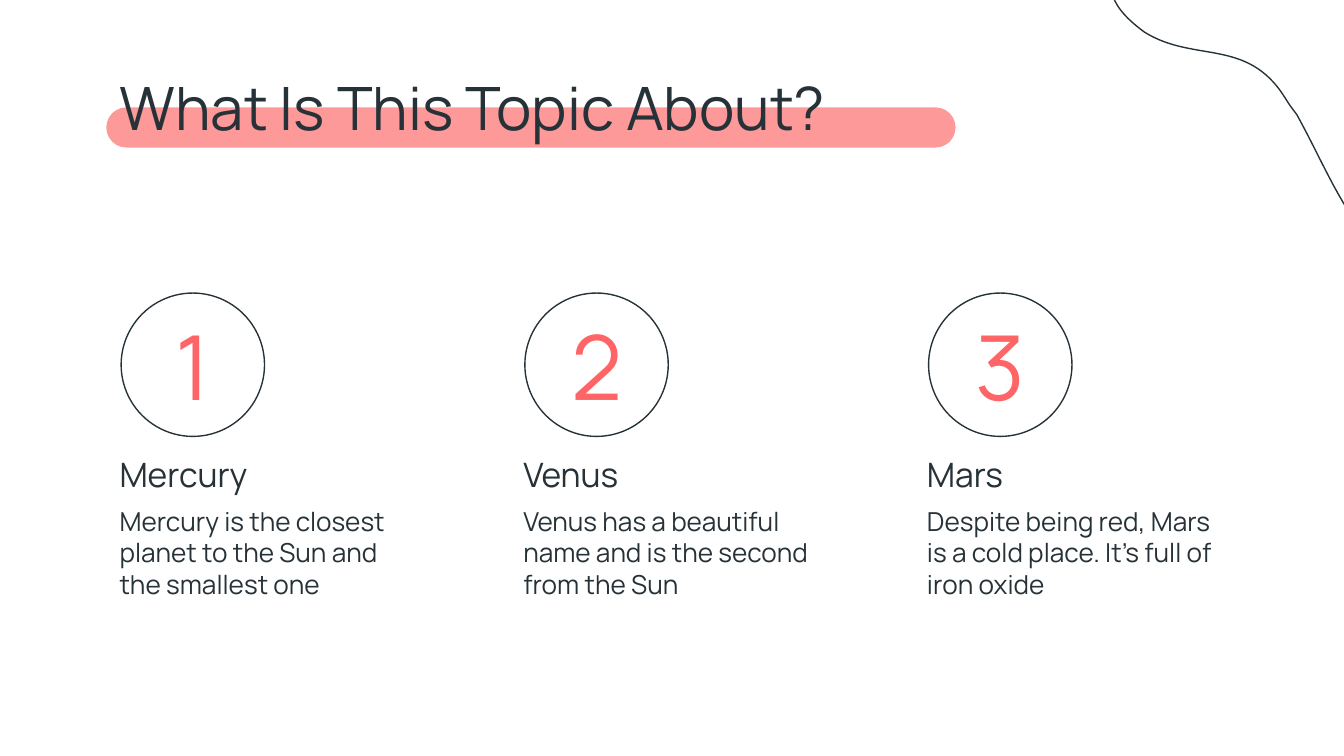
import math
from collections import namedtuple

from lxml import etree
from pptx import Presentation
from pptx import util as u
from pptx.dml.color import RGBColor
from pptx.enum import shapes, text
from pptx.oxml import ns

COLORS = {"ink": "263238", "coral": "FF6566", "band": "FE9999"}
FONT = "Manrope"
Box = namedtuple("Box", "left top width height")

PLANETS = [
    ("Mercury", "Mercury is the closest planet to the Sun and the smallest one"),
    ("Venus", "Venus has a beautiful name and is the second from the Sun"),
    ("Mars", "Despite being red, Mars is a cold place. It’s full of iron oxide"),
]

BLOB_TURN = 239.9
BLOB_START = (-5.26, -0.85)
BLOB_CURVES = [
    ((-5.16, -0.68), (-4.98, -0.5), (-4.73, -0.32)),
    ((-3.79, 0.26), (-2.8, -0.22), (-2.09, 0.9)),
    ((-2.01, 1.03), (-1.94, 1.13), (-1.86, 1.23)),
    ((-1.55, 1.79), (-1.3, 2.35), (-1.02, 2.83)),
    ((-0.67, 3.44), (-0.26, 3.97), (0.48, 4.43)),
    ((1.72, 5.17), (2.71, 4.89), (3.63, 4.07)),
    ((5.2, 2.68), (5.13, 0.67), (4.11, -1.11)),
    ((3.68, -1.84), (3.07, -2.56), (2.33, -3.17)),
    ((0.02, -5.02), (-2.77, -4.92), (-4.58, -3.14)),
    ((-5.14, -2.58), (-5.72, -1.64), BLOB_START),
]


def color(name):
    return RGBColor.from_string(COLORS[name])


def lengths(box):
    return [u.Cm(value) for value in box]


def outline(shape):
    shape.shadow.inherit = False
    shape.fill.background()
    shape.line.color.rgb = color("ink")
    shape.line.width = u.Pt(0.75)


def write(shape, words, size, ink="ink", align=text.PP_ALIGN.LEFT,
          anchor=text.MSO_ANCHOR.TOP):
    frame = shape.text_frame
    frame.text = words
    frame.word_wrap = True
    frame.auto_size = text.MSO_AUTO_SIZE.NONE
    frame.vertical_anchor = anchor
    frame.margin_left = frame.margin_right = u.Cm(0.25)
    frame.margin_top = frame.margin_bottom = u.Cm(0.25)
    para = frame.paragraphs[0]
    para.alignment = align
    para.line_spacing = 1.0
    para.space_before = u.Pt(0)
    span = para.runs[0]
    span.font.name = FONT
    span.font.size = u.Pt(size)
    span.font.color.rgb = color(ink)


def add_blob(page, box):
    cosine = math.cos(math.radians(BLOB_TURN))
    sine = math.sin(math.radians(BLOB_TURN))

    def place(point):
        across, down = point
        return (u.Cm(box.width / 2 + across * cosine + down * sine),
                u.Cm(box.height / 2 - across * sine + down * cosine))

    builder = page.shapes.build_freeform(*place(BLOB_START))
    builder.add_line_segments([place(curve[-1]) for curve in BLOB_CURVES])
    blob = builder.convert_to_shape()
    blob.left, blob.top, blob.width, blob.height = lengths(box)
    blob.rotation = BLOB_TURN
    outline(blob)

    track = blob._element.find(".//" + ns.qn("a:path"))
    for child in list(track):
        track.remove(child)
    track.set("w", str(blob.width))
    track.set("h", str(blob.height))
    for tag, points in [("a:moveTo", [BLOB_START]),
                        *(("a:cubicBezTo", curve) for curve in BLOB_CURVES),
                        ("a:close", [])]:
        command = etree.SubElement(track, ns.qn(tag))
        for point in points:
            x, y = place(point)
            etree.SubElement(command, ns.qn("a:pt"), x=str(x), y=str(y))


def add_heading(page, box):
    band = page.shapes.add_shape(
        shapes.MSO_SHAPE.ROUNDED_RECTANGLE,
        *lengths(Box(box.left, box.top + 0.95, 16.05, 0.76)))
    band.adjustments[0] = 0.5
    band.shadow.inherit = False
    band.fill.solid()
    band.fill.fore_color.rgb = color("band")
    band.line.fill.background()

    title = page.shapes.title
    title.left, title.top, title.width, title.height = lengths(box)
    page.shapes._spTree.append(title._element)
    write(title, "What Is This Topic About?", 32)


def add_planet(page, box, number, name, description):
    circle = page.shapes.add_shape(
        shapes.MSO_SHAPE.OVAL,
        *lengths(Box(box.left + 0.28, box.top, 2.71, 2.71)))
    outline(circle)

    def add_label(left, top, width, height, words, size, **style):
        label = page.shapes.add_textbox(
            *lengths(Box(box.left + left, box.top + top, width, height)))
        write(label, words, size, **style)

    add_label(0.41, 0.38, 2.46, 1.96, str(number), 48, ink="coral",
              align=text.PP_ALIGN.CENTER, anchor=text.MSO_ANCHOR.MIDDLE)
    add_label(0, 2.79, box.width, 1.04, name, 18)
    add_label(0, 3.76, box.width, box.height - 3.76, description, 14)


def main():
    deck = Presentation()
    deck.slide_width, deck.slide_height = u.Cm(25.4), u.Cm(14.29)
    page = deck.slides.add_slide(deck.slide_layouts.get_by_name("Title Only"))

    add_blob(page, Box(20.75, -3.2, 11.23, 8.26))
    add_heading(page, Box(2.01, 1.08, 21.41, 1.7))
    for index, (name, description) in enumerate(PLANETS):
        add_planet(page, Box(2.01 + 7.63 * index, 5.54, 6.12, 6.12),
                   index + 1, name, description)
    deck.save("out.pptx")


if __name__ == "__main__":
    main()
